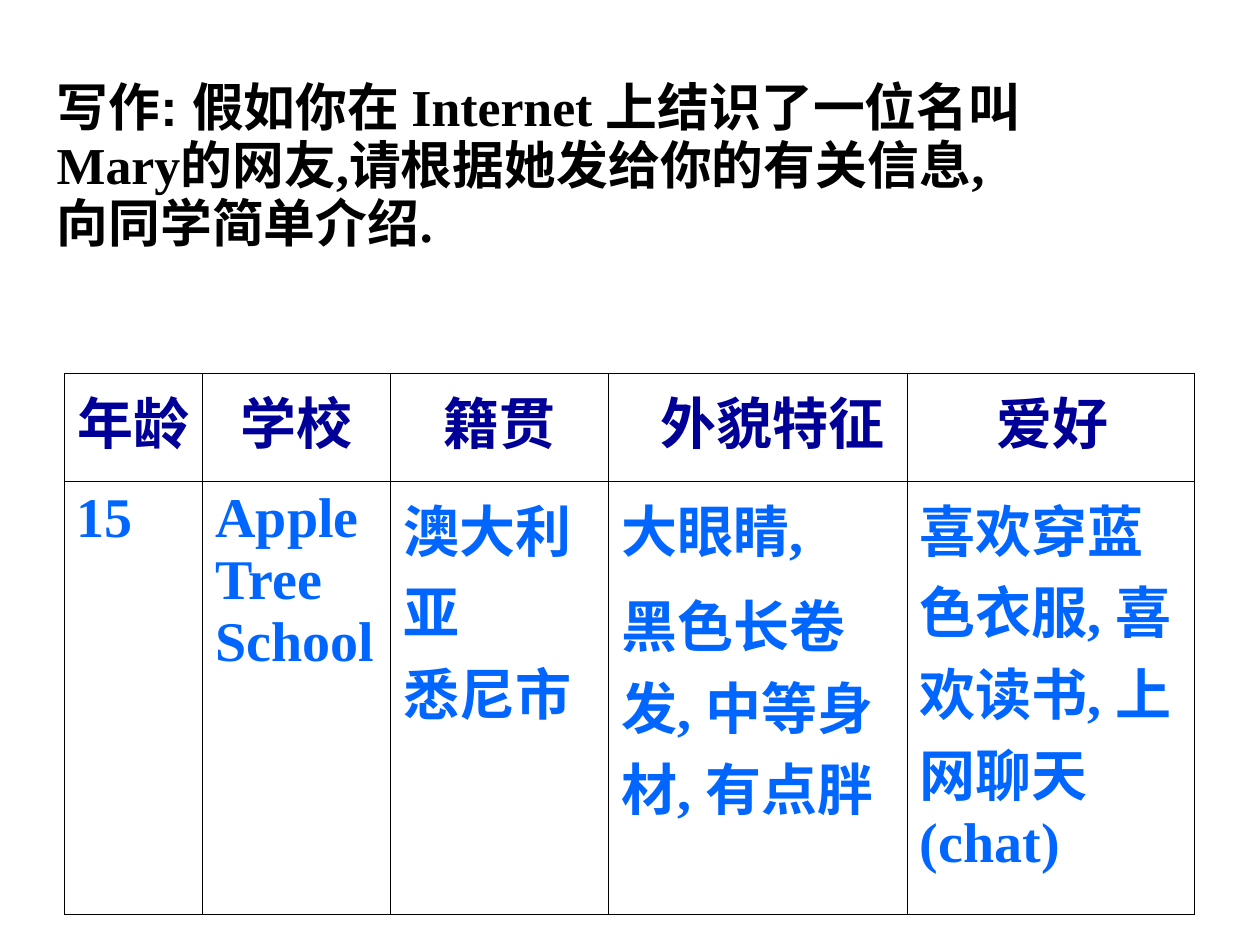
from dataclasses import dataclass

import pptx
import pptx.dml.color
import pptx.enum.text
import pptx.oxml.ns
import pptx.util
from lxml import etree
from pptx.util import Inches

ALIGN = pptx.enum.text.PP_ALIGN


@dataclass(frozen=True)
class Theme:
    latin: str = "Times New Roman"
    label: str = "Arial"
    ink: str = "000000"
    header: str = "000099"
    answer: str = "0066FF"
    task_size: float = 29.6
    table_size: float = 32
    border: float = 0.45


THEME = Theme()

# Each line of the task is a list of (text, font) runs
TASK = [
    [("写作: ", THEME.label), ("假如你在 Internet 上结识了一位名叫", THEME.latin)],
    [("Mary的网友,请根据她发给你的有关信息,", THEME.latin)],
    [("向同学简单介绍.", THEME.latin)],
]

# Heading, column width, heading indent (None = centred), answer paragraphs
COLUMNS = [
    ("年龄", 1.1, None, ["15"]),
    ("学校", 1.49, None, ["Apple Tree School"]),
    ("籍贯", 1.73, None, ["澳大利亚\n悉尼市"]),
    ("外貌特征", 2.37, 0.31, ["大眼睛,", "黑色长卷发, 中等身材, 有点胖"]),
    ("爱好", 2.28, 0.61, ["喜欢穿蓝色衣服, 喜欢读书, 上网聊天 (chat)"]),
]
ROW_HEIGHTS = (0.86, 2.88)
INSET = 0.1


def add_run(p, text, font, size, color):
    r = p.add_run()
    r.text = text
    r.font.name = font
    r.font.size = pptx.util.Pt(size)
    r.font.bold = True
    r.font.color.rgb = pptx.dml.color.RGBColor.from_string(color)


def add_paragraph(tf, index, space_before, align=ALIGN.LEFT):
    p = tf.add_paragraph() if index else tf.paragraphs[0]
    p.alignment = align
    p.space_before = pptx.util.Pt(space_before if index else 0)
    return p


def fill_task(sp):
    sp.left, sp.top = Inches(0.35), Inches(0.6)
    sp.width, sp.height = Inches(9), Inches(1.89)
    tf = sp.text_frame
    tf.word_wrap = True
    tf.auto_size = pptx.enum.text.MSO_AUTO_SIZE.NONE
    tf.vertical_anchor = pptx.enum.text.MSO_ANCHOR.TOP
    for i, runs in enumerate(TASK):
        p = add_paragraph(tf, i, 1)
        p.line_spacing = 0.9
        for text, font in runs:
            add_run(p, text, font, THEME.task_size, THEME.ink)


def set_borders(cell):
    tc_pr = cell._tc.get_or_add_tcPr()
    qn = pptx.oxml.ns.qn
    for i, side in enumerate(("lnL", "lnR", "lnT", "lnB")):
        ln = etree.Element(qn(f"a:{side}"), w=str(pptx.util.Pt(THEME.border)))
        fill = etree.SubElement(ln, qn("a:solidFill"))
        etree.SubElement(fill, qn("a:srgbClr"), val=THEME.ink)
        tc_pr.insert(i, ln)


def fill_cell(cell, paragraphs, color, align=ALIGN.LEFT, indent=0):
    cell.fill.background()
    set_borders(cell)
    cell.margin_left = Inches(INSET + indent)
    cell.margin_right = Inches(INSET)
    for i, text in enumerate(paragraphs):
        p = add_paragraph(cell.text_frame, i, 8, align)
        for n, line in enumerate(text.split("\n")):
            if n:
                p.add_line_break()
            add_run(p, line, THEME.latin, THEME.table_size, color)


def add_profile_table(s):
    width = sum(column[1] for column in COLUMNS)
    table = s.shapes.add_table(
        len(ROW_HEIGHTS), len(COLUMNS), Inches(0.51), Inches(2.96),
        Inches(width), Inches(sum(ROW_HEIGHTS))).table
    table.first_row = table.horz_banding = False
    for row, height in zip(table.rows, ROW_HEIGHTS):
        row.height = Inches(height)
    for c, (heading, width, indent, answer) in enumerate(COLUMNS):
        table.columns[c].width = Inches(width)
        align = ALIGN.CENTER if indent is None else ALIGN.LEFT
        fill_cell(table.cell(0, c), [heading], THEME.header, align, indent or 0)
        fill_cell(table.cell(1, c), answer, THEME.answer)


def main():
    prs = pptx.Presentation()
    prs.slide_width, prs.slide_height = Inches(10), Inches(7.5)
    s = prs.slides.add_slide(prs.slide_layouts[5])
    # Writing task
    fill_task(s.shapes.title)
    # Facts about the pen friend
    add_profile_table(s)
    prs.save("out.pptx")


if __name__ == "__main__":
    main()
